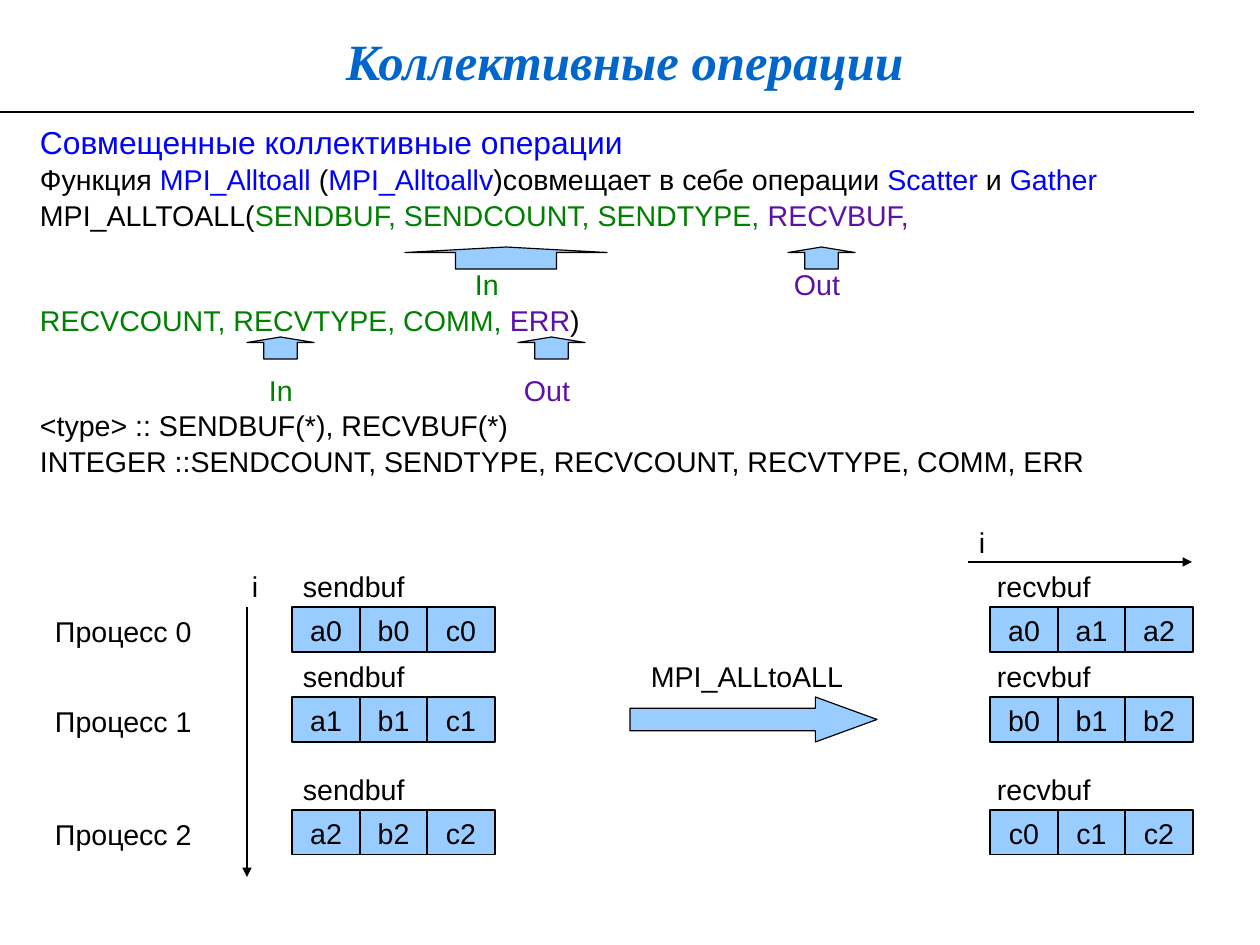
from pptx import Presentation
from pptx.dml.color import RGBColor
from pptx.enum.shapes import MSO_CONNECTOR, MSO_SHAPE
from pptx.enum.text import MSO_ANCHOR, PP_ALIGN
from pptx.oxml.ns import qn
from pptx.util import Emu, Pt
from lxml import etree

RECT, UP, RIGHT = MSO_SHAPE.RECTANGLE, MSO_SHAPE.UP_ARROW, MSO_SHAPE.RIGHT_ARROW
STRAIGHT = MSO_CONNECTOR.STRAIGHT
TOP, MIDDLE = MSO_ANCHOR.TOP, MSO_ANCHOR.MIDDLE
LEFT, CENTER = PP_ALIGN.LEFT, PP_ALIGN.CENTER

# Content: each line holds (text, colour) spans
TITLE = "Коллективные операции"
HEADING = "Совмещенные коллективные операции"
BODY = [
    dict(spans=[(HEADING, "blue")], size="heading"),
    dict(spans=[("Функция ", "ink"), ("MPI_Alltoall", "blue"), (" (", "ink"),
                ("MPI_Alltoallv", "blue"), (")совмещает в себе операции ", "ink"),
                ("Scatter", "blue"), (" и ", "ink"), ("Gather", "blue")]),
    dict(spans=[("MPI_ALLTOALL(", "ink"),
                ("SENDBUF, SENDCOUNT, SENDTYPE, ", "green"), ("RECVBUF,", "violet")]),
    dict(spans=[("\tIn", "green"), ("\tOut", "violet")], tabs=(435, 754), before=21.5),
    dict(spans=[("RECVCOUNT, RECVTYPE, COMM, ", "green"), ("ERR", "violet"), (")", "ink")]),
    dict(spans=[("\tIn", "green"), ("\tOut", "violet")], tabs=(229, 484), before=21.5),
    dict(spans=[("<type> :: SENDBUF(*), RECVBUF(*)", "ink")]),
    dict(spans=[("INTEGER ::SENDCOUNT, SENDTYPE, RECVCOUNT, RECVTYPE, COMM, ERR", "ink")]),
]
SEND = [[f"{letter}{rank}" for letter in "abc"] for rank in range(3)]
RECV = list(zip(*SEND))
BUFFERS = [  # name, cells, left of cells, left of name, width of name
    ("sendbuf", SEND, 292, 292, 125),
    ("recvbuf", RECV, 990, 986, 117),
]
LABELS = [  # text, left, top, width
    ("MPI_ALLtoALL", 640, 652, 215),
    ("i", 241, 562, 29),
    ("i", 968, 518, 29),
]
ARROWS = [  # preset, left, top, width, height, adjustments
    (UP, 405, 247, 202, 22, (0.5, 0.25)),
    (UP, 788, 247, 67, 22, (0.5, 0.25)),
    (UP, 247, 337, 67, 22, (0.5, 0.25)),
    (UP, 518, 337, 67, 22, (0.5, 0.25)),
    (RIGHT, 630, 697, 247, 45, (0.5, 1.37)),
]
LINES = [  # start x, start y, end x, end y, weight, arrowhead
    (0, 112, 1194, 112, 1.42, False),
    (247, 607, 247, 877, 0.75, True),
    (968, 562, 1192, 562, 0.75, True),
]

# Theme and layout, lengths in px
THEME = dict(
    ink="000000", blue="0000FF", green="008000", violet="5E11A6",
    title_blue="0066CC", fill="99CCFF",
    title=32, heading=20, text=18, outline=0.75,
    font="Arial", title_font="Times New Roman", spacing=1.04, title_spacing=1.16,
)
PX = 8000
ROW_TOPS = (607, 697, 810)
ROW_HEIGHT, STRIP_WIDTH = 45, 203
PAD_X, PAD_Y = 11, 6


def px(value):
    return Emu(value * PX)


def color(name):
    return RGBColor.from_string(THEME[name])


def set_frame(shape, anchor=TOP, wrap=False, pad=(PAD_X, PAD_Y)):
    frame = shape.text_frame
    formats = dict(
        word_wrap=wrap, vertical_anchor=anchor,
        margin_left=px(pad[0]), margin_right=px(pad[0]),
        margin_top=px(pad[1]), margin_bottom=px(pad[1]),
    )
    for name, value in formats.items():
        setattr(frame, name, value)
    return frame


def write(para, spans, size="text", font="font", spacing="spacing",
          align=LEFT, tabs=(), before=0, **style):
    para.alignment = align
    para.line_spacing = THEME[spacing]
    if before:
        para.space_before = Pt(before)
    if tabs:
        stops = etree.SubElement(para._p.get_or_add_pPr(), qn("a:tabLst"))
        for stop in tabs:
            etree.SubElement(stops, qn("a:tab"), pos=str(px(stop)), algn="l")
    for text, tint in spans:
        span = para.add_run()
        span.text = text
        formats = dict(name=THEME[font], size=Pt(THEME[size]), **style)
        for name, value in formats.items():
            setattr(span.font, name, value)
        span.font.color.rgb = color(tint)


def add_box(page, left, top, width, height, **frame_format):
    box = page.shapes.add_textbox(px(left), px(top), px(width), px(height))
    return set_frame(box, **frame_format)


def add_label(page, text, left, top, width):
    frame = add_box(page, left, top, width, ROW_HEIGHT + 1)
    write(frame.paragraphs[0], [(text, "ink")])


def add_block(page, preset, left, top, width, height):
    shape = page.shapes.add_shape(preset, px(left), px(top), px(width), px(height))
    shape.shadow.inherit = False
    shape.fill.solid()
    shape.fill.fore_color.rgb = color("fill")
    shape.line.color.rgb = color("ink")
    shape.line.width = Pt(THEME["outline"])
    return shape


def add_line(page, x1, y1, x2, y2, weight, arrowhead):
    line = page.shapes.add_connector(STRAIGHT, px(x1), px(y1), px(x2), px(y2))
    line.line.color.rgb = color("ink")
    line.line.width = Pt(weight)
    if arrowhead:
        etree.SubElement(line.line._get_or_add_ln(), qn("a:tailEnd"), type="triangle")
    etree.SubElement(line._element.spPr, qn("a:effectLst"))


def add_buffer(page, name, rows, left, name_left, name_width):
    for top, row in zip(ROW_TOPS, rows):
        add_label(page, name, name_left, top - ROW_HEIGHT, name_width)
        edges = [left + round(STRIP_WIDTH * i / len(row)) for i in range(len(row) + 1)]
        for value, start, end in zip(row, edges, edges[1:]):
            cell = add_block(page, RECT, start, top, end - start, ROW_HEIGHT)
            frame = set_frame(cell, anchor=MIDDLE)
            write(frame.paragraphs[0], [(value, "ink")], align=CENTER)


def main():
    deck = Presentation()
    deck.slide_width, deck.slide_height = px(1260), px(945)
    page = deck.slides.add_slide(deck.slide_layouts[6])

    # Title
    frame = add_box(page, 6, 8, 1238, 94, anchor=MIDDLE, wrap=True, pad=(0, 0))
    write(frame.paragraphs[0], [(TITLE, "title_blue")], size="title", font="title_font",
          spacing="title_spacing", align=CENTER, bold=True, italic=True)

    # Function description
    frame = add_box(page, 29, 115, 1165, 448, wrap=True)
    for i, line in enumerate(BODY):
        write(frame.add_paragraph() if i else frame.paragraphs[0], **line)

    # Block arrows and lines
    for preset, left, top, width, height, adjustments in ARROWS:
        arrow = add_block(page, preset, left, top, width, height)
        for i, value in enumerate(adjustments):
            arrow.adjustments[i] = value
    for line in LINES:
        add_line(page, *line)

    # Buffers and their labels
    for buffer in BUFFERS:
        add_buffer(page, *buffer)
    for rank, top in enumerate(ROW_TOPS):
        add_label(page, f"Процесс {rank}", 44, top, 159)
    for label in LABELS:
        add_label(page, *label)

    deck.save("out.pptx")


if __name__ == "__main__":
    main()
